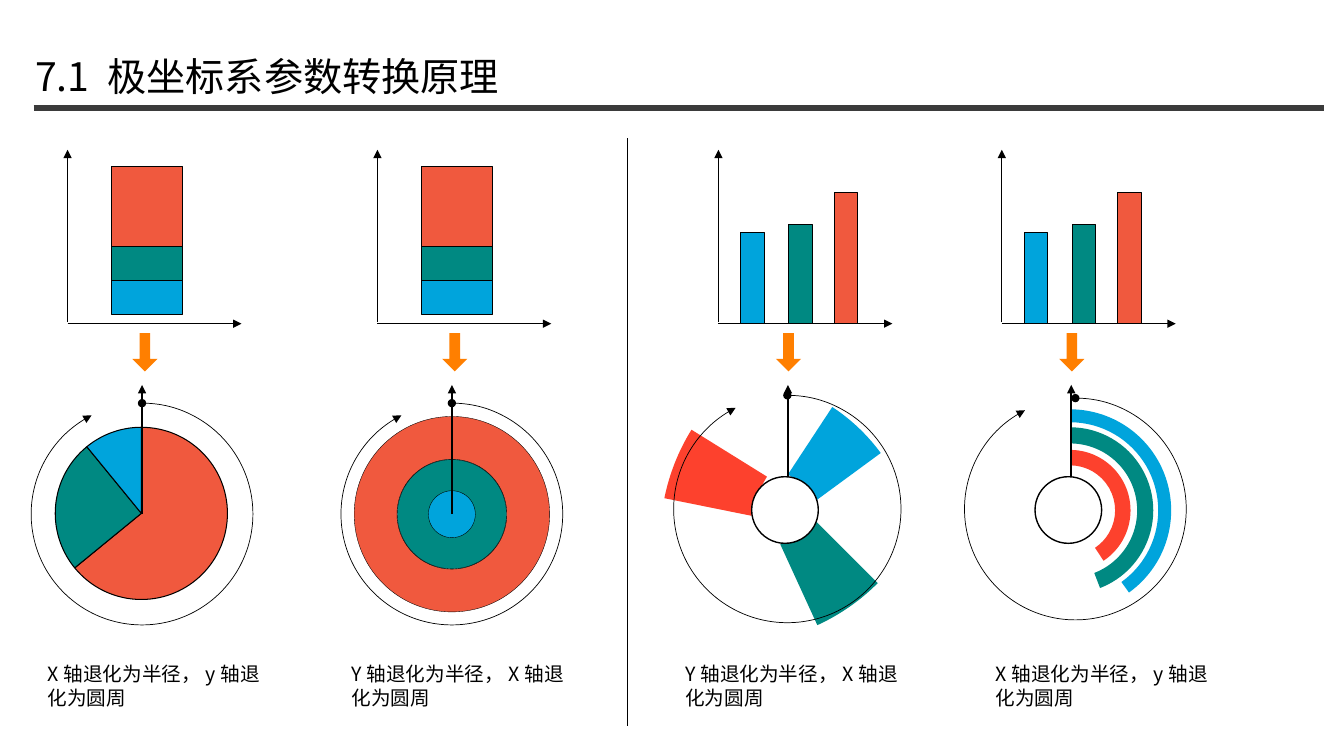
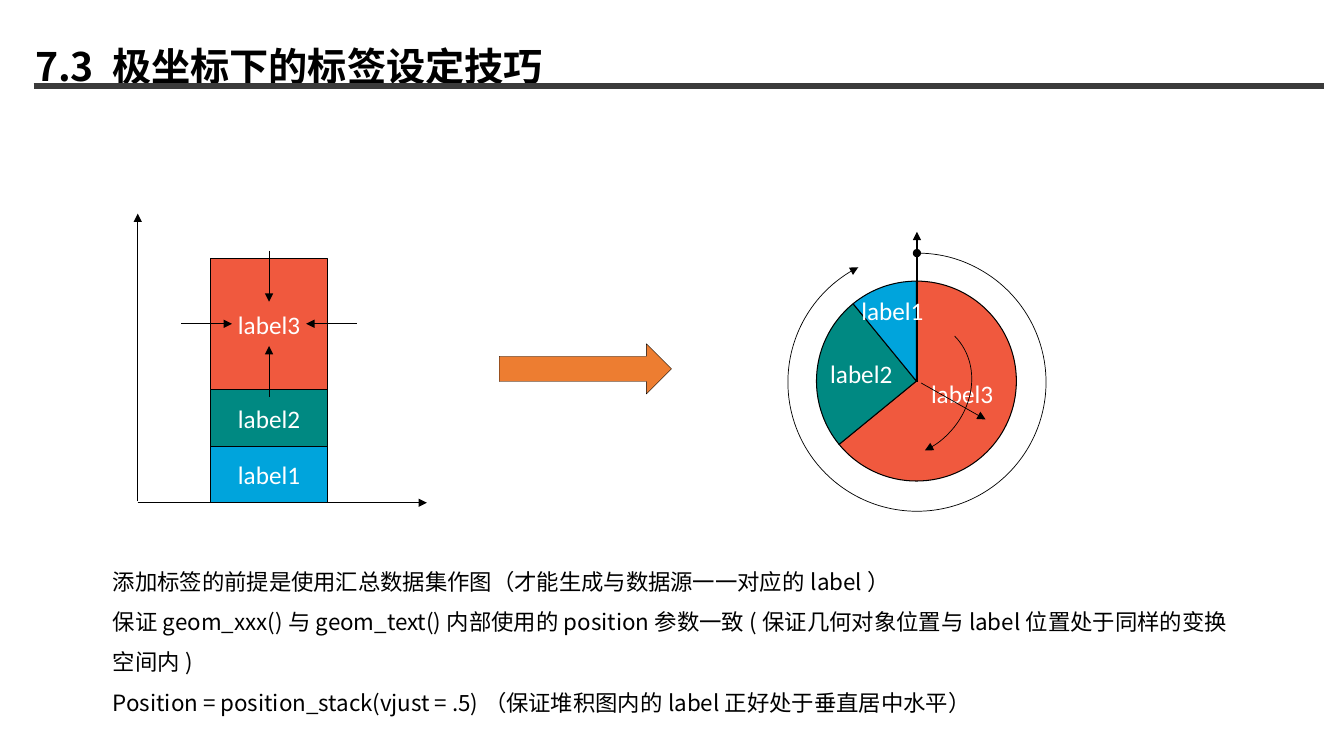
from math import cos, radians, sin, tan

from lxml import etree
from pptx import Presentation
from pptx.dml.color import RGBColor
from pptx.enum.shapes import MSO_CONNECTOR, MSO_SHAPE
from pptx.enum.text import MSO_ANCHOR, MSO_AUTO_SIZE, PP_ALIGN
from pptx.oxml.ns import qn
from pptx.util import Pt

STRAIGHT = MSO_CONNECTOR.STRAIGHT
RECT, OVAL, DONUT = MSO_SHAPE.RECTANGLE, MSO_SHAPE.OVAL, MSO_SHAPE.DONUT
ARC, BLOCK_ARC, RIGHT_ARROW = MSO_SHAPE.ARC, MSO_SHAPE.BLOCK_ARC, MSO_SHAPE.RIGHT_ARROW
TOP, GROW = MSO_ANCHOR.TOP, MSO_AUTO_SIZE.SHAPE_TO_FIT_TEXT
LEFT, CENTER = PP_ALIGN.LEFT, PP_ALIGN.CENTER

CJK, LATIN = "Noto Sans CJK SC", "Calibri"
BLACK, WHITE, RULE = "000000", "FFFFFF", "3B3B3B"
BLUE, TEAL, CORAL, RED = "00A4DC", "008982", "F0593E", "FD412D"
ORANGE, DARK_ORANGE = "FF7F00", "ED7D31"
SERIES = (BLUE, TEAL, CORAL)


def rgb(color):
    return RGBColor.from_string(color)


def angle(deg):
    """Angle as a preset adjustment value."""
    return deg * 0.6


# Shared drawing helpers
def set_ends(shape, head=None, tail=None):
    ln = shape.line._get_or_add_ln()
    for tag, kind in (("a:headEnd", head), ("a:tailEnd", tail)):
        if kind:
            etree.SubElement(ln, qn(tag)).set("type", kind)


def style(sp, fill=None, line=None):
    sp.shadow.inherit = False
    if fill:
        sp.fill.solid()
        sp.fill.fore_color.rgb = rgb(fill)
    else:
        sp.fill.background()
    if line is None:
        sp.line.fill.background()
    else:
        sp.line.color.rgb = rgb(BLACK)
        sp.line.width = Pt(line)
    return sp


def add_shape(s, kind, x, y, w, h, fill=None, line=None, adj=(), rot=0):
    sp = s.shapes.add_shape(kind, Pt(x), Pt(y), Pt(w), Pt(h))
    for i, value in enumerate(adj):
        sp.adjustments[i] = value
    sp.rotation = rot
    return style(sp, fill, line)


def add_round(s, kind, cx, cy, r, fill=None, line=None, adj=(), rot=0):
    return add_shape(s, kind, cx - r, cy - r, 2 * r, 2 * r, fill, line, adj, rot)


def add_line(s, x1, y1, x2, y2, width=0.5, color=BLACK, arrow=True):
    ln = s.shapes.add_connector(STRAIGHT, Pt(x1), Pt(y1), Pt(x2), Pt(y2))
    ln.line.color.rgb = rgb(color)
    ln.line.width = Pt(width)
    if arrow:
        set_ends(ln, tail="triangle")
    etree.SubElement(ln._element.spPr, qn("a:effectLst"))


def write(tf, paragraphs, size, font=CJK, color=BLACK, bold=False, spacing=1.0, align=LEFT):
    tf.word_wrap = True
    tf.auto_size = GROW
    tf.vertical_anchor = TOP
    for i, text in enumerate(paragraphs):
        p = tf.paragraphs[0] if i == 0 else tf.add_paragraph()
        p.alignment = align
        p.space_before = p.space_after = Pt(0)
        p.line_spacing = spacing
        r = p.add_run()
        r.text = text
        r.font.size = Pt(size)
        r.font.bold = bold
        r.font.name = font
        r.font.color.rgb = rgb(color)
        etree.SubElement(r._r.get_or_add_rPr(), qn("a:ea")).set("typeface", font)


def place(sp, x, y, w, h):
    sp.left, sp.top, sp.width, sp.height = Pt(x), Pt(y), Pt(w), Pt(h)


def add_text(s, x, y, w, h, text, size, **options):
    tb = s.shapes.add_textbox(Pt(x), Pt(y), Pt(w), Pt(h))
    write(tb.text_frame, [text], size, **options)


def add_label(s, cx, cy, text):
    add_text(s, cx - 32.75, cy - 14.4, 65.5, 28.8, text, 18,
             font=LATIN, color=WHITE, align=CENTER)


def add_header(s, text, y, w, rule_y, bold=False):
    add_line(s, 24, rule_y, 946, rule_y, 4.5, RULE, arrow=False)
    title = s.shapes.title
    place(title, 17.8, y, w, 64.8)
    write(title.text_frame, [text], 28, bold=bold, spacing=2.0)


# Cartesian charts
def add_axes(s, x, y, size):
    add_line(s, x, y - 1, x, y - size, 0.5)
    add_line(s, x, y, x + size, y, 0.75)


def add_stack(s, x, bottom, w, heights):
    """Stacked bar; returns the middle of each segment."""
    middles = []
    for color, h in zip(SERIES, heights):
        bottom -= h
        add_shape(s, RECT, x, bottom, w, h, color, 0.5)
        middles.append(bottom + h / 2)
    return middles


def add_bars(s, x, bottom):
    for color, dx, h in zip(SERIES, (16, 50.2, 82.8), (65, 70.5, 93.6)):
        add_shape(s, RECT, x + dx, bottom - h, 16.6, h, color, 0.5)


# Polar charts
def add_sweep(s, cx, cy, r):
    arc = add_round(s, ARC, cx, cy, r, line=0.5, adj=(angle(270), angle(242.96)))
    set_ends(arc, "oval", "triangle")


def add_slice(s, cx, cy, r, start, end, color):
    """Pie slice whose rim is one Bezier curve per quadrant."""
    turns = [start, *(q for q in range(-90, 360, 90) if start < q < end), end]

    def at(deg, slope=0):
        c, n = cos(radians(deg)), sin(radians(deg))
        return Pt(cx + r * (c - slope * n)), Pt(cy + r * (n + slope * c))

    fb = s.shapes.build_freeform(Pt(cx), Pt(cy))
    fb.add_line_segments([at(t) for t in turns], close=True)
    sp = style(fb.convert_to_shape(), color, 0)
    rim = list(sp._element.iter(qn("a:lnTo")))[1:]
    for edge, t1, t2 in zip(rim, turns, turns[1:]):
        k = 4 / 3 * tan(radians(t2 - t1) / 4)
        curve = etree.Element(qn("a:cubicBezTo"))
        for px, py in (at(t1, k), at(t2, -k), at(t2)):
            pt = etree.SubElement(curve, qn("a:pt"))
            pt.set("x", str(px - sp.left))
            pt.set("y", str(py - sp.top))
        edge.getparent().replace(edge, curve)


def add_pie(s, cx, cy, r):
    for color, start, end in ((CORAL, -90, 140.7), (TEAL, 140.7, 230.7), (BLUE, 230.7, 270)):
        add_slice(s, cx, cy, r, start, end, color)


def add_rings(s, cx, cy):
    add_round(s, OVAL, cx, cy, 18.4, BLUE, 0.25)
    add_round(s, DONUT, cx, cy, 69.8, CORAL, 0.25, (0.219,))
    add_round(s, DONUT, cx, cy, 39, TEAL, 0.25, (0.285,))


def add_blades(s, cx, cy):
    blades = ((BLUE, -42.3, 38.6, 134.6, 320), (TEAL, -40.9, -52.8, 148.3, 61.6),
              (RED, 57, 20.6, 148.3, 208.1))
    for color, dx, dy, r, rot in blades:
        add_round(s, BLOCK_ARC, cx + dx, cy + dy, r, color,
                  adj=(angle(343.31), angle(3.74), 0.214), rot=rot)


def add_arc_bars(s, cx, cy):
    bars = ((BLUE, 72.2, 54.37, 0.064), (TEAL, 59.4, 68.91, 0.097), (RED, 43.2, 56.36, 0.128))
    for color, r, end, thickness in bars:
        add_round(s, BLOCK_ARC, cx, cy, r, color,
                  adj=(angle(270.86), angle(end), thickness))


# Columns of the principle slide
def add_column(s, x, caption_x, caption, arrow_dx, axis_dx):
    """Axes, down arrow, polar axis and caption around the origin x."""
    add_axes(s, x, 231.2, 124.2)
    add_shape(s, RIGHT_ARROW, x + arrow_dx - 13.7, 242.6, 27.4, 18, ORANGE,
              adj=(0.42, 0.5), rot=90)
    add_line(s, x + axis_dx, 367.2, x + axis_dx, 275, 1.5)
    add_text(s, caption_x, 469.4, 167, 41, caption, 14)


def add_stack_column(s, x, caption_x, caption, add_polar):
    cx = x + 53.2
    add_stack(s, x + 31.5, 224.4, 50.7, (24.2, 24.4, 57.2))
    add_polar(s, cx, 367.3)
    add_sweep(s, cx, 367.2, 79.2)
    add_column(s, x, caption_x, caption, 55.2, 53.2)


def add_bar_column(s, x, caption_x, caption, add_polar, polar_dx, sweep_dx, sweep_r):
    add_bars(s, x, 231)
    add_polar(s, x + polar_dx, 364.6)
    add_sweep(s, x + sweep_dx, 363.6, sweep_r)
    add_column(s, x, caption_x, caption, 50, 49.6)
    add_round(s, OVAL, x + 47.5, 364.3, 23.8, WHITE, 1)


def build_principle(prs):
    s = prs.slides.add_slide(prs.slide_layouts[5])
    add_header(s, "7.1 极坐标系参数转换原理", 0, 412.6, 77)
    x_radius = "X轴退化为半径，y轴退化为圆周"
    y_radius = "Y轴退化为半径，X轴退化为圆周"
    add_stack_column(s, 48.3, 27, x_radius,
                     lambda s, cx, cy: add_pie(s, cx - 0.5, cy - 0.6, 61.5))
    add_stack_column(s, 269.6, 244, y_radius, add_rings)
    add_bar_column(s, 513.2, 482.4, y_radius, add_blades, 49.7, 49.2, 81.2)
    add_bar_column(s, 715.6, 704, x_radius, add_arc_bars, 48.8, 52.6, 79.2)
    add_line(s, 447.8, 98.6, 447.8, 518.4, arrow=False)


# Regions of the label slide
def add_labelled_stack(s, x, y):
    add_axes(s, x, y, 206.5)
    cx = x + 93.8
    middles = add_stack(s, x + 51.8, y - 0.5, 83.5, (40, 40.2, 93.6))
    for i, cy in enumerate(middles, 1):
        add_label(s, cx, cy + 0.2, f"label{i}")
    # Four arrows closing in on the top label
    cy = middles[-1] - 0.3
    for dx, dy in ((0, -1), (0, 1), (1, 0), (-1, 0)):
        near, far = (26.5, 62.8) if dx else (15.8, 52.2)
        add_line(s, cx + dx * far, cy + dy * far, cx + dx * near, cy + dy * near)


def add_labelled_pie(s, cx, cy):
    add_pie(s, cx - 0.4, cy - 0.2, 71.4)
    add_sweep(s, cx, cy + 0.6, 92.2)
    add_line(s, cx, cy + 0.6, cx, cy - 106.8, 1.5)
    for i, (dx, dy) in enumerate(((-17.5, -50.6), (-39.8, -5.3), (32.2, 9)), 1):
        add_label(s, cx + dx, cy + dy, f"label{i}")
    inner = add_shape(s, ARC, cx - 56.6, cy - 47.8, 92.2, 105.8, line=0.5,
                      adj=(angle(270), angle(25.09)), rot=44.9)
    set_ends(inner, tail="triangle")
    add_line(s, cx + 3, cy + 1.2, cx + 49, cy + 27.2)


def add_notes_list(s, x, y, w, h):
    body = s.placeholders[1]
    place(body, x, y, w, h)
    write(body.text_frame, [
        "添加标签的前提是使用汇总数据集作图（才能生成与数据源一一对应的label）",
        "保证geom_xxx()与geom_text()内部使用的position参数一致"
        "(保证几何对象位置与label位置处于同样的变换空间内)",
        "Position = position_stack(vjust = .5)（保证堆积图内的label正好处于垂直居中水平）",
    ], 16, spacing=1.5)
    # Plain paragraphs without bullets
    for p in body.text_frame.paragraphs:
        pPr = p._p.get_or_add_pPr()
        pPr.set("marL", "0")
        pPr.set("indent", "0")
        etree.SubElement(pPr, qn("a:buNone"))


def build_labels(prs):
    s = prs.slides.add_slide(prs.slide_layouts[1])
    add_header(s, "7.3 极坐标下的标签设定技巧", -7.2, 480.2, 61.2, bold=True)
    add_labelled_stack(s, 98.4, 359.1)
    add_labelled_pie(s, 655, 272.4)
    add_notes_list(s, 73.4, 392.4, 823, 91.4)
    add_shape(s, RIGHT_ARROW, 356.6, 245.5, 123.1, 36, DARK_ORANGE, 0.25)


def main():
    prs = Presentation()
    prs.slide_width, prs.slide_height = Pt(960), Pt(540)
    build_principle(prs)
    build_labels(prs)
    prs.save("out.pptx")


if __name__ == "__main__":
    main()
